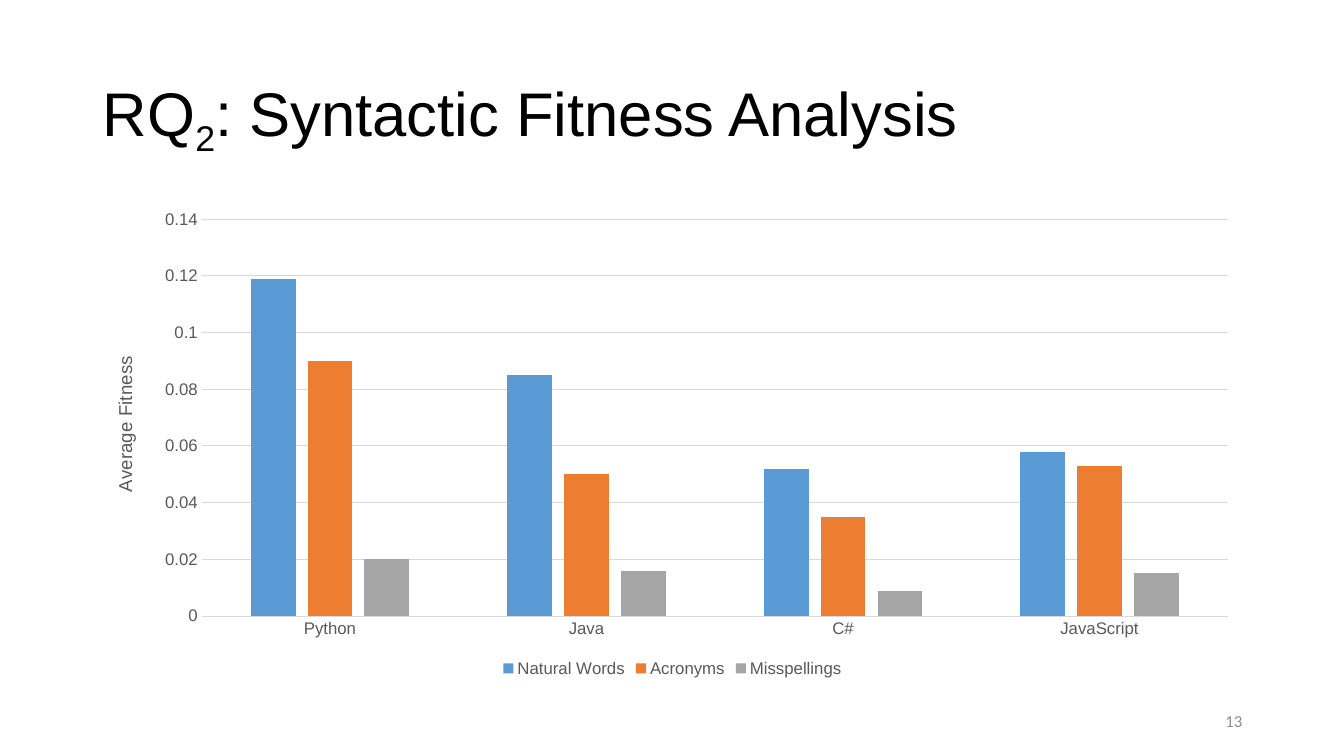
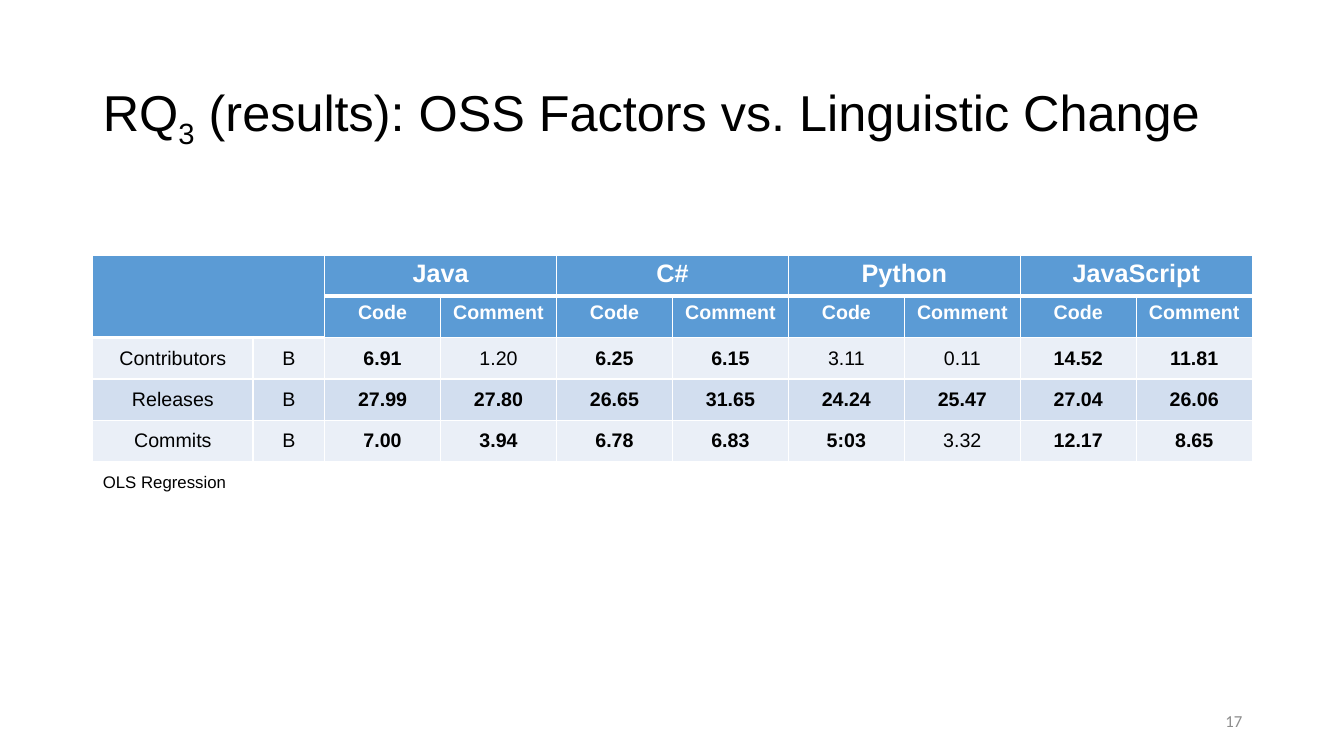
"""Build two result slides: a fitness chart and a regression table."""
from lxml import etree
from pptx import Presentation
from pptx.chart.data import CategoryChartData
from pptx.dml.color import RGBColor
from pptx.enum import chart as ch, text as tx
from pptx.oxml import parse_xml
from pptx.oxml.ns import nsdecls, qn
from pptx.util import Inches, Pt

BLUE, ORANGE, GREY = "5B9BD5", "ED7D31", "A5A5A5"
BLACK, WHITE, DARK, RULE, PAGE = "000000", "FFFFFF", "595959", "D9D9D9", "8C8C8C"
BANDS = ["EAEFF7", "D2DEEF"]
LEFT, WIDE = Inches(0.92), Inches(11.5)
ALIGN, ANCHOR = tx.PP_ALIGN, tx.MSO_ANCHOR


def color(item, code):
    item.rgb = RGBColor.from_string(code)


def write(frame, text, size=14, font="Arial", tint=BLACK, bold=False,
          align=ALIGN.LEFT, anchor=ANCHOR.MIDDLE, space=None):
    """Write one paragraph; text between bars is set as subscript."""
    frame.word_wrap = True
    frame.vertical_anchor = anchor
    para = frame.paragraphs[0]
    para.alignment, para.line_spacing = align, space
    for i, part in enumerate(text.split("|")):
        run = para.add_run()
        run.text = part
        run.font.size, run.font.name, run.font.bold = Pt(size), font, bold
        color(run.font.color, tint)
        if i % 2:
            run.font._element.set("baseline", "-25000")


deck = Presentation()
deck.slide_width, deck.slide_height = Inches(13.33), Inches(7.5)

slides = []
for title, size, page in [
    ("RQ|2|: Syntactic Fitness Analysis", 44, "13"),
    ("RQ|3| (results): OSS Factors vs. Linguistic Change", 36, "17"),
]:
    slide = deck.slides.add_slide(deck.slide_layouts[5])
    head = slide.shapes.title
    head.left, head.top, head.width, head.height = LEFT, Inches(0.4), WIDE, Inches(1.45)
    head.text_frame.auto_size = tx.MSO_AUTO_SIZE.NONE
    write(head.text_frame, title, size, space=0.9)
    box = slide.shapes.add_textbox(Inches(9.42), Inches(6.95), Inches(3), Inches(0.4))
    write(box.text_frame, page, 12, "Calibri", PAGE, align=ALIGN.RIGHT)
    slides.append(slide)

data = CategoryChartData()
data.categories = ["Python", "Java", "C#", "JavaScript"]
data.add_series("Natural Words", [0.119, 0.085, 0.052, 0.058])
data.add_series("Acronyms", [0.09, 0.05, 0.035, 0.053])
data.add_series("Misspellings", [0.02, 0.016, 0.009, 0.015])
chart = slides[0].shapes.add_chart(
    ch.XL_CHART_TYPE.COLUMN_CLUSTERED, LEFT, Inches(2), WIDE, Inches(4.76), data).chart
chart.has_title = False
chart.font.size, chart.font.name = Pt(12), "Arial"
color(chart.font.color, DARK)
chart.has_legend = True
chart.legend.position = ch.XL_LEGEND_POSITION.BOTTOM
chart.legend.include_in_layout = False

plot = chart.plots[0]
plot.gap_width, plot.overlap, plot.vary_by_categories = 219, -27, False
for series, tint in zip(plot.series, [BLUE, ORANGE, GREY]):
    series.format.fill.solid()
    color(series.format.fill.fore_color, tint)

cats, vals = chart.category_axis, chart.value_axis
for axis in (cats, vals):
    axis.major_tick_mark = axis.minor_tick_mark = ch.XL_TICK_MARK.NONE
vals.minimum_scale, vals.maximum_scale, vals.major_unit = 0, 0.14, 0.02
vals.format.line.fill.background()
for line in (cats.format.line, vals.major_gridlines.format.line):
    line.width = Pt(0.75)
    color(line.color, RULE)
label = vals.axis_title.text_frame
write(label, "Average Fitness", 13.3, tint=DARK, align=ALIGN.CENTER)
label._txBody.bodyPr.set("rot", "-5400000")
label._txBody.bodyPr.set("vert", "horz")

area = chart._chartSpace.chart.plotArea
for old in area.findall(qn("c:layout")):
    area.remove(old)
frame = etree.Element(qn("c:layout"))
manual = etree.SubElement(frame, qn("c:manualLayout"))
for tag, val in [("layoutTarget", "inner"), ("xMode", "edge"), ("yMode", "edge"),
                 ("x", "0.094"), ("y", "0.037"), ("w", "0.885"), ("h", "0.827")]:
    etree.SubElement(manual, qn("c:" + tag)).set("val", val)
area.insert(0, frame)

rows = [
    ["", "", "Java", "", "C#", "", "Python", "", "JavaScript", ""],
    ["", ""] + ["Code", "Comment"] * 4,
    ["Contributors", "B", "6.91", "1.20", "6.25", "6.15", "3.11", "0.11", "14.52", "11.81"],
    ["Releases", "B", "27.99", "27.80", "26.65", "31.65", "24.24", "25.47", "27.04", "26.06"],
    ["Commits", "B", "7.00", "3.94", "6.78", "6.83", "5:03", "3.32", "12.17", "8.65"],
    ["OLS Regression"] + [""] * 9,
]
plain = {"1.20", "3.11", "0.11", "3.32"}
grid = slides[1].shapes.add_table(6, 10, LEFT, Inches(2.53), WIDE, Inches(2.43)).table
grid.first_row = grid.horz_banding = False
for col, width in zip(grid.columns, [1.59, 0.71] + [1.15] * 8):
    col.width = Inches(width)

for r, row in enumerate(rows):
    top, last = r < 2, r == 5
    for c, text in enumerate(row):
        cell = grid.cell(r, c)
        if last:
            cell.fill.background()
        else:
            cell.fill.solid()
            color(cell.fill.fore_color, BLUE if top else BANDS[r % 2])
        for i, side in enumerate("LRTB"):
            width = Pt(3 if r == 0 and side == "B" else 1)
            cell._tc.get_or_add_tcPr().insert(i, parse_xml(
                f'<a:ln{side} {nsdecls("a")} w="{width}"><a:solidFill>'
                f'<a:srgbClr val="{WHITE}"/></a:solidFill></a:ln{side}>'))
        if text:
            write(cell.text_frame, text, 18 if r == 0 else 12 if last else 14,
                  tint=WHITE if top else BLACK,
                  bold=top or (c > 1 and text not in plain),
                  align=ALIGN.LEFT if last else ALIGN.CENTER)
            cell.vertical_anchor = ANCHOR.TOP if top else ANCHOR.MIDDLE

grid.cell(0, 0).merge(grid.cell(1, 1))
for c in range(2, 10, 2):
    grid.cell(0, c).merge(grid.cell(0, c + 1))
grid.cell(5, 0).merge(grid.cell(5, 9))
for row in grid.rows:
    row.height = Inches(0.41)

deck.save("out.pptx")
